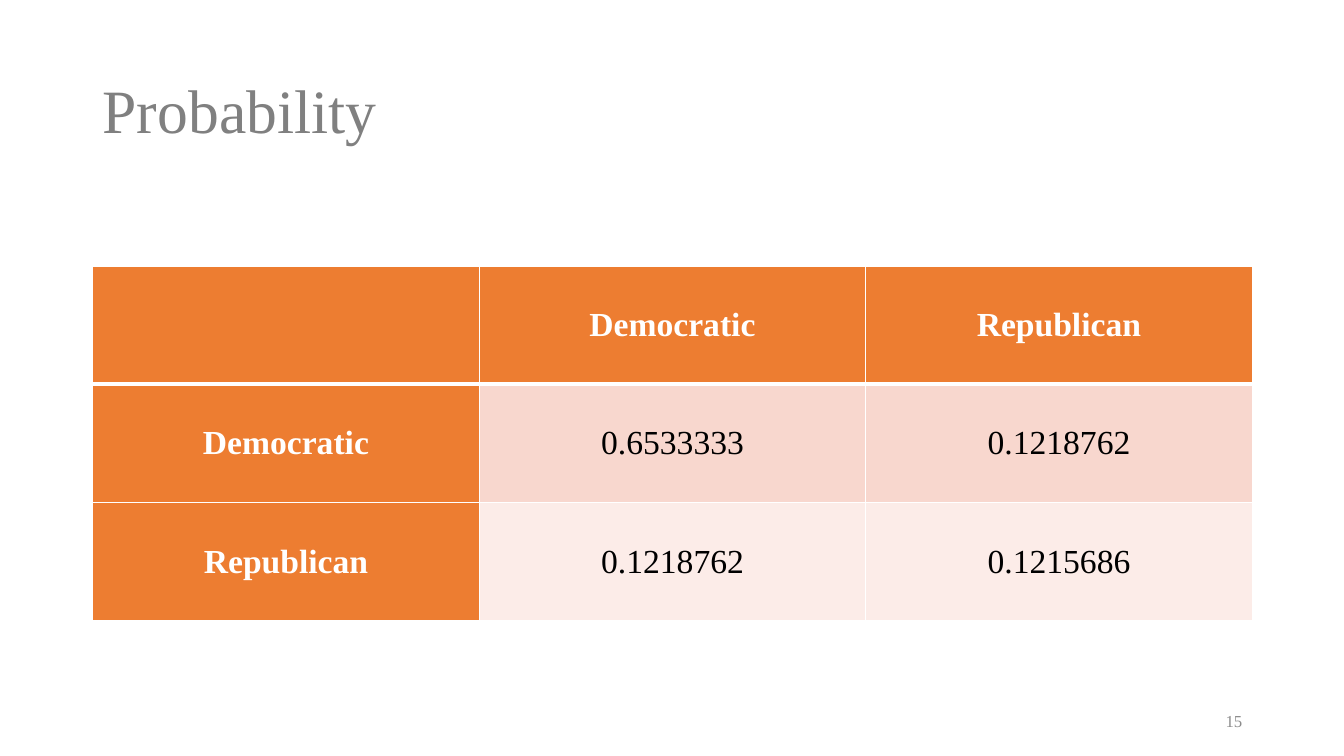
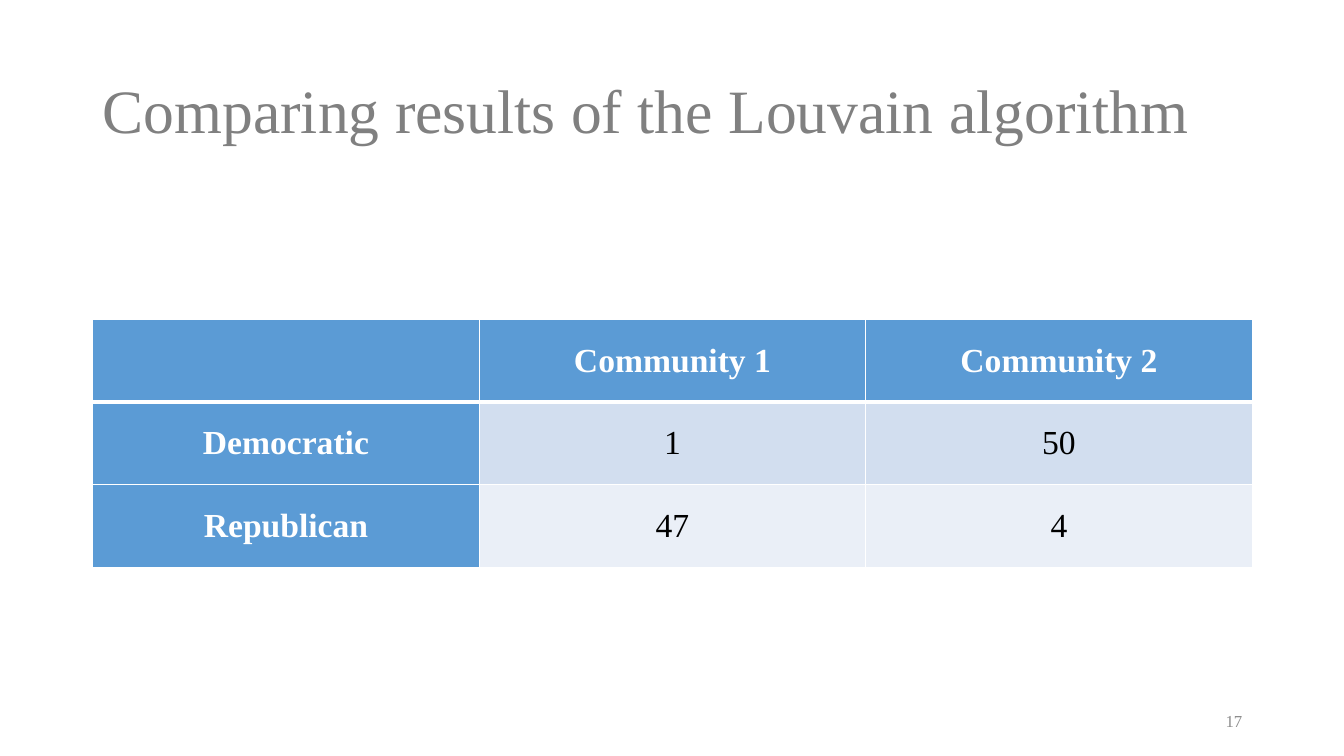
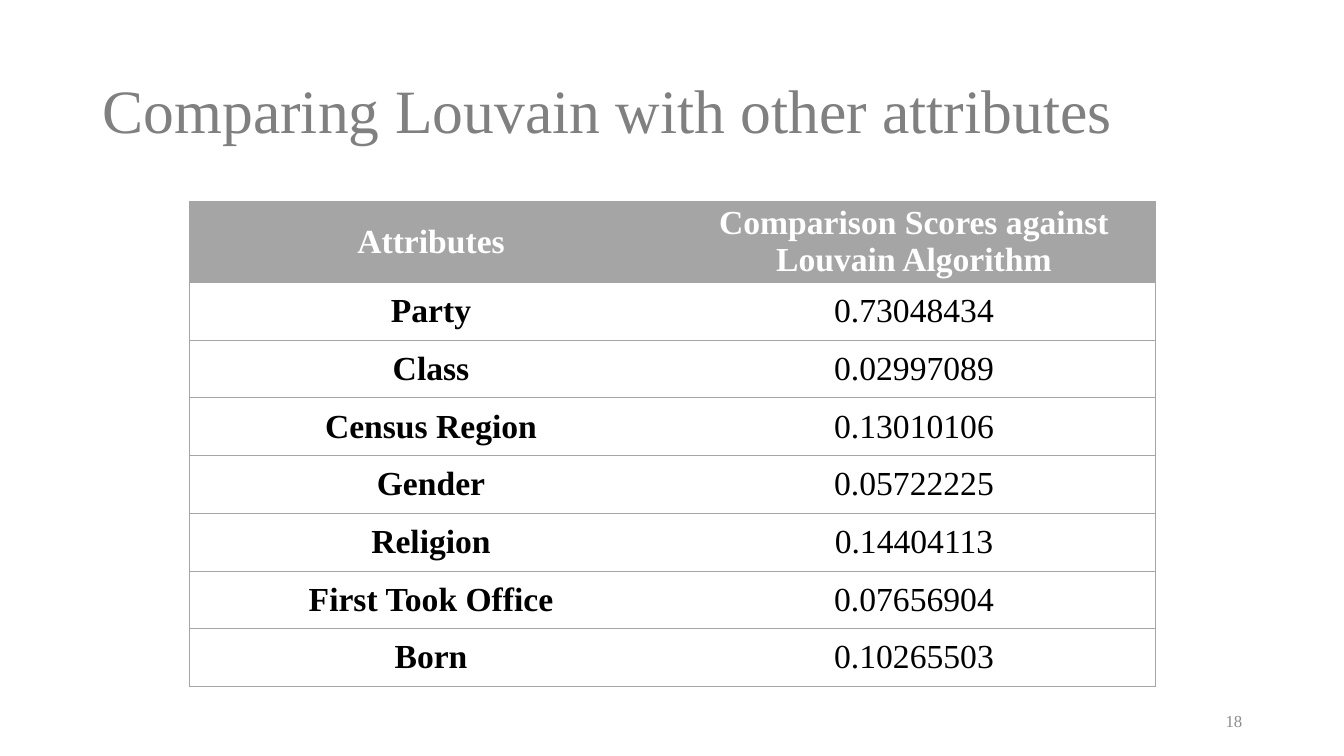
from dataclasses import dataclass

from lxml.etree import SubElement
from pptx import Presentation
from pptx.dml.color import RGBColor
from pptx.enum.text import MSO_ANCHOR, PP_ALIGN
from pptx.oxml.ns import qn
from pptx.util import Inches, Pt


@dataclass(frozen=True)
class Theme:
    font: str = "Times New Roman"
    title_size: int = 44
    table_size: int = 24
    number_size: int = 12
    title: str = "808080"
    number: str = "8C8C8C"
    white: str = "FFFFFF"
    black: str = "000000"


@dataclass(frozen=True)
class TableStyle:
    accent: str
    bands: tuple
    line: str
    line_width: float
    header_rule: float
    grid_columns: bool
    accent_labels: bool


THEME = Theme()
ORANGE = TableStyle("ED7D31", ("F8D7CE", "FCECE8"), THEME.white, 1, 3, True, True)
BLUE = TableStyle("5B9BD5", ("D2DEEF", "EAEFF7"), THEME.white, 1, 3, True, True)
GREY = TableStyle("A5A5A5", (), "A5A5A5", 0.5, 0.5, False, False)

# Table frames are left, top, width, in inches.
SLIDES = [
    {
        "title": "Probability", "number": "15", "style": ORANGE,
        "frame": (0.92, 2.64, 11.5), "header_height": 1.17, "body_height": 2.35,
        "rows": [
            ("", "Democratic", "Republican"),
            ("Democratic", "0.6533333", "0.1218762"),
            ("Republican", "0.1218762", "0.1215686"),
        ],
    },
    {
        "title": "Comparing results of the Louvain algorithm", "number": "17", "style": BLUE,
        "frame": (0.92, 3.17, 11.5), "header_height": 0.82, "body_height": 1.64,
        "rows": [
            ("", "Community 1", "Community 2"),
            ("Democratic", "1", "50"),
            ("Republican", "47", "4"),
        ],
    },
    {
        "title": "Comparing Louvain with other attributes", "number": "18", "style": GREY,
        "frame": (1.88, 2, 9.58), "header_height": 0.73, "body_height": 4.01,
        "rows": [
            ("Attributes", "Comparison Scores against Louvain Algorithm"),
            ("Party", "0.73048434"),
            ("Class", "0.02997089"),
            ("Census Region", "0.13010106"),
            ("Gender", "0.05722225"),
            ("Religion", "0.14404113"),
            ("First Took Office", "0.07656904"),
            ("Born", "0.10265503"),
        ],
    },
]


def write(paragraph, text, size, color, align, bold=False):
    paragraph.alignment = align
    if text:
        run = paragraph.add_run()
        run.text = text
        run.font.name = THEME.font
        run.font.size = Pt(size)
        run.font.bold = bold
        run.font.color.rgb = RGBColor.from_string(color)


def add_text(slide, frame, text, size, color, align, line_spacing=1.0):
    text_frame = slide.shapes.add_textbox(*map(Inches, frame)).text_frame
    text_frame.word_wrap = True
    text_frame.vertical_anchor = MSO_ANCHOR.MIDDLE
    paragraph = text_frame.paragraphs[0]
    paragraph.line_spacing = line_spacing
    write(paragraph, text, size, color, align)


def set_borders(cell, color, widths):
    """Draw left, right, top and bottom borders; a width of 0 hides one."""
    properties = cell._tc.get_or_add_tcPr()
    for side, width in zip("LRTB", widths):
        line = SubElement(properties, qn(f"a:ln{side}"), w=str(Pt(width)))
        if width:
            fill = SubElement(line, qn("a:solidFill"))
            SubElement(fill, qn("a:srgbClr"), val=color)
        else:
            SubElement(line, qn("a:noFill"))


def style_cell(cell, text, row, column, last_column, style):
    is_header, is_label = row == 0, column == 0
    accented = is_header or (is_label and style.accent_labels)

    inner = style.line_width if style.grid_columns else 0
    set_borders(cell, style.line, (
        style.line_width if is_label else inner,
        style.line_width if column == last_column else inner,
        style.header_rule if row == 1 else style.line_width,
        style.header_rule if is_header else style.line_width,
    ))

    if accented or style.bands:
        color = style.accent if accented else style.bands[(row - 1) % len(style.bands)]
        cell.fill.solid()
        cell.fill.fore_color.rgb = RGBColor.from_string(color)
    else:
        cell.fill.background()

    cell.vertical_anchor = MSO_ANCHOR.MIDDLE
    cell.margin_left = cell.margin_right = Inches(0.07)
    cell.margin_top = cell.margin_bottom = 0
    write(cell.text_frame.paragraphs[0], text, THEME.table_size,
          THEME.white if accented else THEME.black, PP_ALIGN.CENTER,
          bold=is_header or is_label)


def add_score_table(slide, rows, style, frame, header_height, body_height):
    left, top, width = frame
    column_count = len(rows[0])
    table = slide.shapes.add_table(
        len(rows), column_count, Inches(left), Inches(top),
        Inches(width), Inches(header_height + body_height)).table
    table.horz_banding = False
    for column in table.columns:
        column.width = Inches(width / column_count)
    for r, values in enumerate(rows):
        table.rows[r].height = Inches(
            body_height / (len(rows) - 1) if r else header_height)
        for c, text in enumerate(values):
            style_cell(table.cell(r, c), text, r, c, column_count - 1, style)


def main():
    presentation = Presentation()
    presentation.slide_width = Inches(13.33)
    presentation.slide_height = Inches(7.5)
    for content in SLIDES:
        slide = presentation.slides.add_slide(presentation.slide_layouts[6])
        add_text(slide, (0.92, 0.4, 11.5, 1.45), content["title"],
                 THEME.title_size, THEME.title, PP_ALIGN.LEFT, line_spacing=0.9)
        add_score_table(slide, content["rows"], content["style"], content["frame"],
                        content["header_height"], content["body_height"])
        add_text(slide, (9.42, 6.95, 3, 0.4), content["number"],
                 THEME.number_size, THEME.number, PP_ALIGN.RIGHT)
    presentation.save("out.pptx")


if __name__ == "__main__":
    main()
